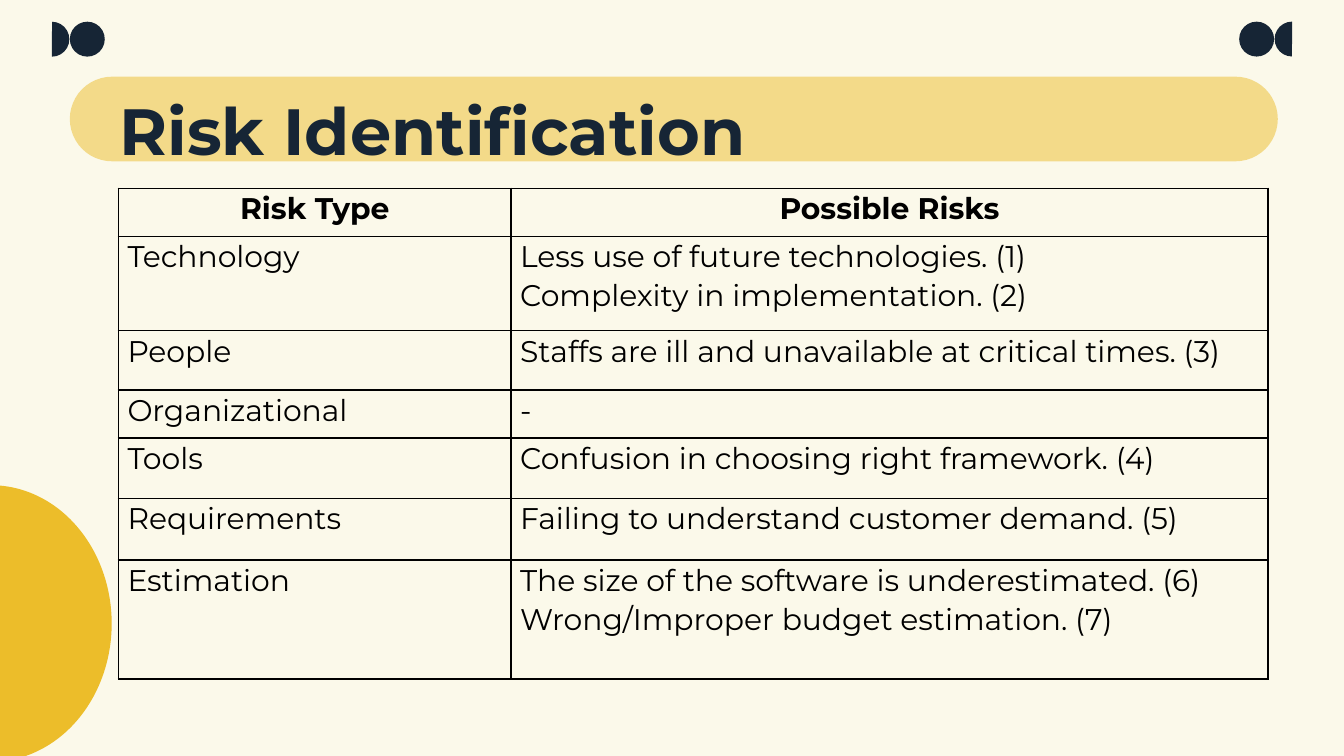
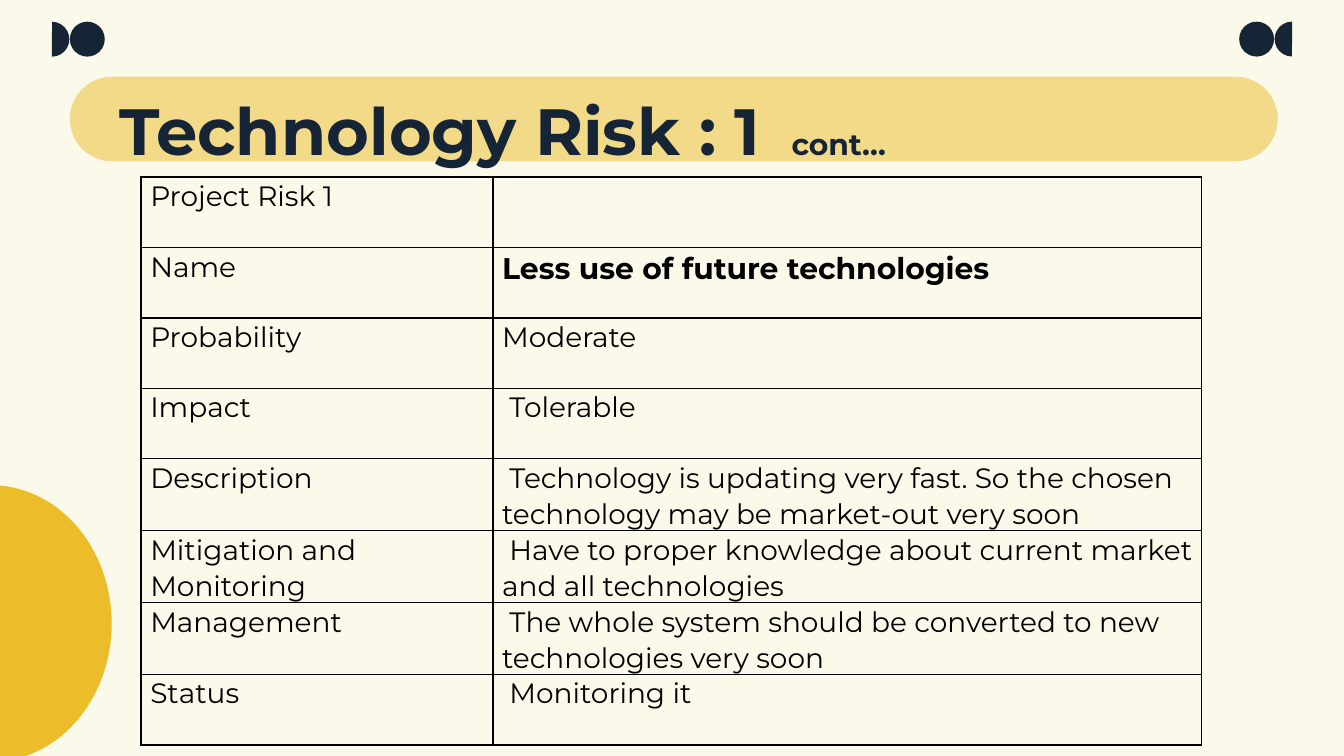
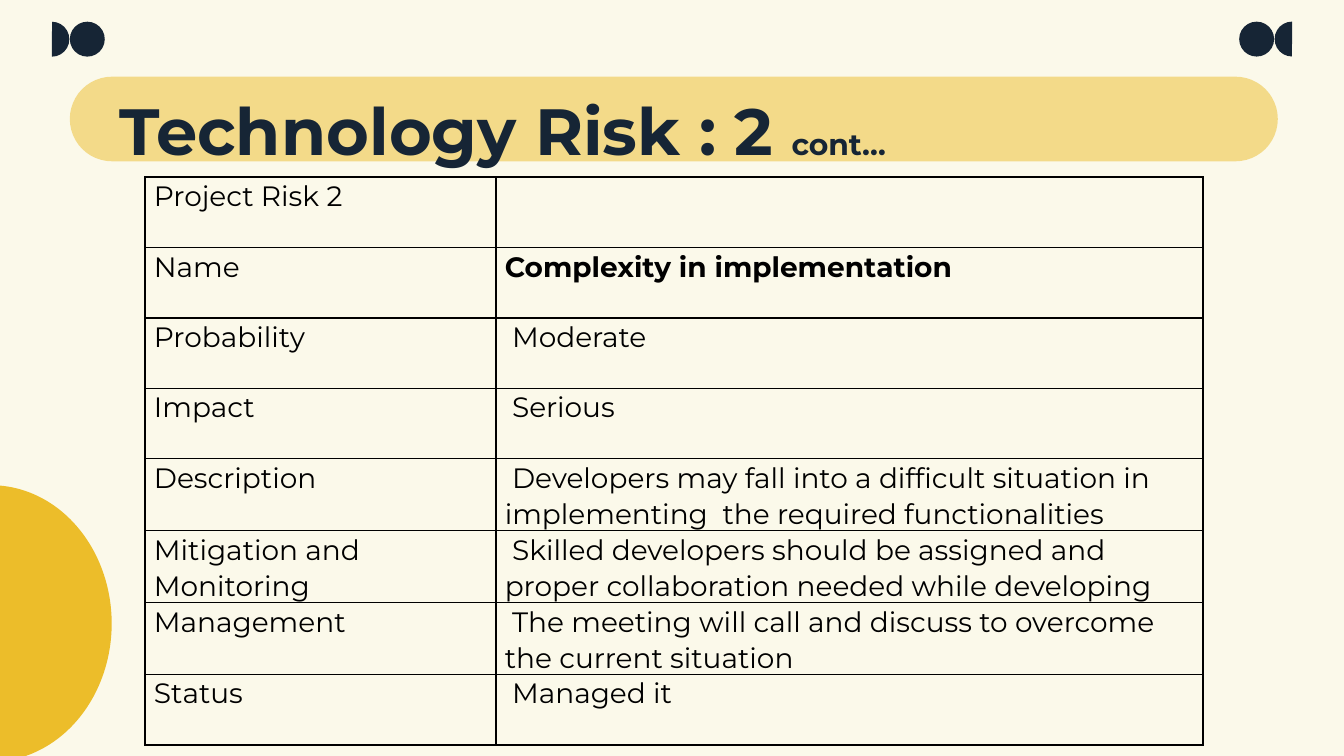
from lxml import etree
from pptx import Presentation
from pptx.dml.color import RGBColor
from pptx.enum.shapes import MSO_SHAPE
from pptx.enum.text import MSO_ANCHOR, PP_ALIGN
from pptx.oxml.ns import qn
from pptx.util import Cm, Pt

PIE, OVAL, PILL = MSO_SHAPE.PIE, MSO_SHAPE.OVAL, MSO_SHAPE.ROUNDED_RECTANGLE
TOP = MSO_ANCHOR.TOP
LEFT, CENTER = PP_ALIGN.LEFT, PP_ALIGN.CENTER

CREAM = RGBColor(0xFB, 0xF9, 0xEA)
NAVY = RGBColor(0x16, 0x25, 0x35)
GOLD = RGBColor(0xEC, 0xBD, 0x2A)
BLACK = RGBColor(0, 0, 0)
FONT = "Montserrat"
SLIDE_W, SLIDE_H = 25.4, 14.29  # cm

RISK_TYPES = [
    ("Risk Type", "Possible Risks"),
    ("Technology", "Less use of future technologies. (1)\nComplexity in implementation. (2)"),
    ("People", "Staffs are ill and unavailable at critical times. (3)"),
    ("Organizational", "-"),
    ("Tools", "Confusion in choosing right framework. (4)"),
    ("Requirements", "Failing to understand customer demand. (5)"),
    ("Estimation", "The size of the software is underestimated. (6)\n"
                   "Wrong/Improper budget estimation. (7)"),
]
RISK_TYPE_HEIGHTS = [0.91, 1.78, 1.12, 0.91, 1.14, 1.17, 2.24]

FIELDS = ["Name", "Probability", "Impact", "Description",
          "Mitigation and Monitoring", "Management", "Status"]
FIELD_HEIGHTS = [1.33] * 4 + [1.36] * 3 + [1.33]

# Per risk: table left, column widths, size of the risk name, field values
RISKS = [
    (2.67, (6.65, 13.39), 16, [
        "Less use of future technologies",
        "Moderate",
        " Tolerable",
        " Technology is updating very fast. So the chosen technology may be market-out very soon",
        " Have to proper knowledge about current market and all technologies",
        " The whole system should be converted to new technologies very soon",
        " Monitoring it"]),
    (2.74, (6.63, 13.36), 15, [
        "Complexity in implementation",
        " Moderate",
        " Serious",
        " Developers may fall into a difficult situation in implementing  the required functionalities",
        " Skilled developers should be assigned and proper collaboration needed while developing",
        " The meeting will call and discuss to overcome the current situation",
        " Managed it"]),
]


class Deck:
    """Holds the shared style and the current slide."""

    def __init__(self):
        self.prs = Presentation()
        self.prs.slide_width, self.prs.slide_height = Cm(SLIDE_W), Cm(SLIDE_H)
        self.s = None

    def slide(self, title, suffix=""):
        self.s = self.prs.slides.add_slide(self.prs.slide_layouts[6])
        fill = self.s.background.fill
        fill.solid()
        fill.fore_color.rgb = CREAM
        self.decorations()
        self.title(title, suffix)

    def shape(self, kind, x, y, w, h, color, adj=(), turn=0, alpha=None):
        sp = self.s.shapes.add_shape(kind, Cm(x), Cm(y), Cm(w), Cm(h))
        sp.shadow.inherit = False
        sp.line.fill.background()
        sp.fill.solid()
        sp.fill.fore_color.rgb = color
        sp.rotation = turn
        for i, value in enumerate(adj):
            sp.adjustments[i] = value
        if alpha is not None:
            clr = sp.fill._xPr.find(".//" + qn("a:srgbClr"))
            etree.SubElement(clr, qn("a:alpha"), val=str(alpha * 1000))
        return sp

    def decorations(self):
        # Mirrored half disc and disc in the top corners
        dot = 0.66
        for kind, x, adj in ((PIE, 0.65, (54.58, 162)), (OVAL, 1.32, ())):
            self.shape(kind, x, 0.41, dot, dot, NAVY, adj, turn=180)
            self.shape(kind, SLIDE_W - x - dot, 0.41, dot, dot, NAVY, adj)
        # Large half disc on the left edge
        self.shape(PIE, -2.46, 9.17, 4.57, 5.23, GOLD, (53.46, 162), turn=180)

    def title(self, text, suffix):
        self.shape(PILL, 1.32, 1.45, 22.83, 1.6, GOLD, (0.5,), alpha=50)
        tf = self.s.shapes.add_textbox(Cm(2.01), Cm(1.45), Cm(21.41), Cm(1.6)).text_frame
        tf.word_wrap = True
        tf.vertical_anchor = TOP
        tf.margin_left = tf.margin_right = tf.margin_top = tf.margin_bottom = Cm(0.25)
        p = tf.paragraphs[0]
        for part, size in ((text, 35), (suffix, 16)):
            if part:
                r = p.add_run()
                r.text = part
                self.font(r.font, size, NAVY, True)

    def font(self, font, size, color, bold):
        font.name, font.size, font.bold = FONT, Pt(size), bold
        font.color.rgb = color

    def table(self, x, y, widths, heights, rows, size, bold_sizes, centered=()):
        """bold_sizes maps (row, column) of bold cells to their text size."""
        table = self.s.shapes.add_table(
            len(rows), len(widths), Cm(x), Cm(y),
            Cm(sum(widths)), Cm(sum(heights))).table
        table.first_row = table.horz_banding = False
        for col, width in zip(table.columns, widths):
            col.width = Cm(width)
        for i, (row, height) in enumerate(zip(rows, heights)):
            table.rows[i].height = Cm(height)
            for j, text in enumerate(row):
                self.cell(table.cell(i, j), text, bold_sizes.get((i, j), size),
                          (i, j) in bold_sizes, CENTER if i in centered else LEFT)

    def cell(self, cell, text, size, bold, align):
        self.borders(cell)
        cell.fill.background()
        cell.margin_left = cell.margin_right = Cm(0.17)
        cell.margin_top = cell.margin_bottom = 0
        cell.text_frame.text = text
        for p in cell.text_frame.paragraphs:
            p.alignment, p.line_spacing = align, 1.07
            self.font(p.font, size, BLACK, bold)
            for r in p.runs:
                self.font(r.font, size, BLACK, bold)

    def borders(self, cell):
        tc_pr = cell._tc.get_or_add_tcPr()
        for side in ("lnL", "lnR", "lnT", "lnB"):
            ln = etree.SubElement(tc_pr, qn("a:" + side), w=str(Pt(1)))
            fill = etree.SubElement(ln, qn("a:solidFill"))
            etree.SubElement(fill, qn("a:srgbClr"), val=str(BLACK))


def main():
    deck = Deck()

    # Overview of risks by type
    deck.slide("Risk Identification")
    deck.table(2.24, 3.56, (7.42, 14.3), RISK_TYPE_HEIGHTS, RISK_TYPES, 16,
               {(0, 0): 16, (0, 1): 16}, centered=(0,))

    # One detail slide per technology risk
    for number, (x, widths, name_size, values) in enumerate(RISKS, 1):
        deck.slide(f"Technology Risk : {number}\t", "cont…")
        rows = [(f"Project Risk {number}", ""), *zip(FIELDS, values)]
        deck.table(x, 3.35, widths, FIELD_HEIGHTS, rows, 15, {(1, 1): name_size})

    deck.prs.save("out.pptx")


if __name__ == "__main__":
    main()
